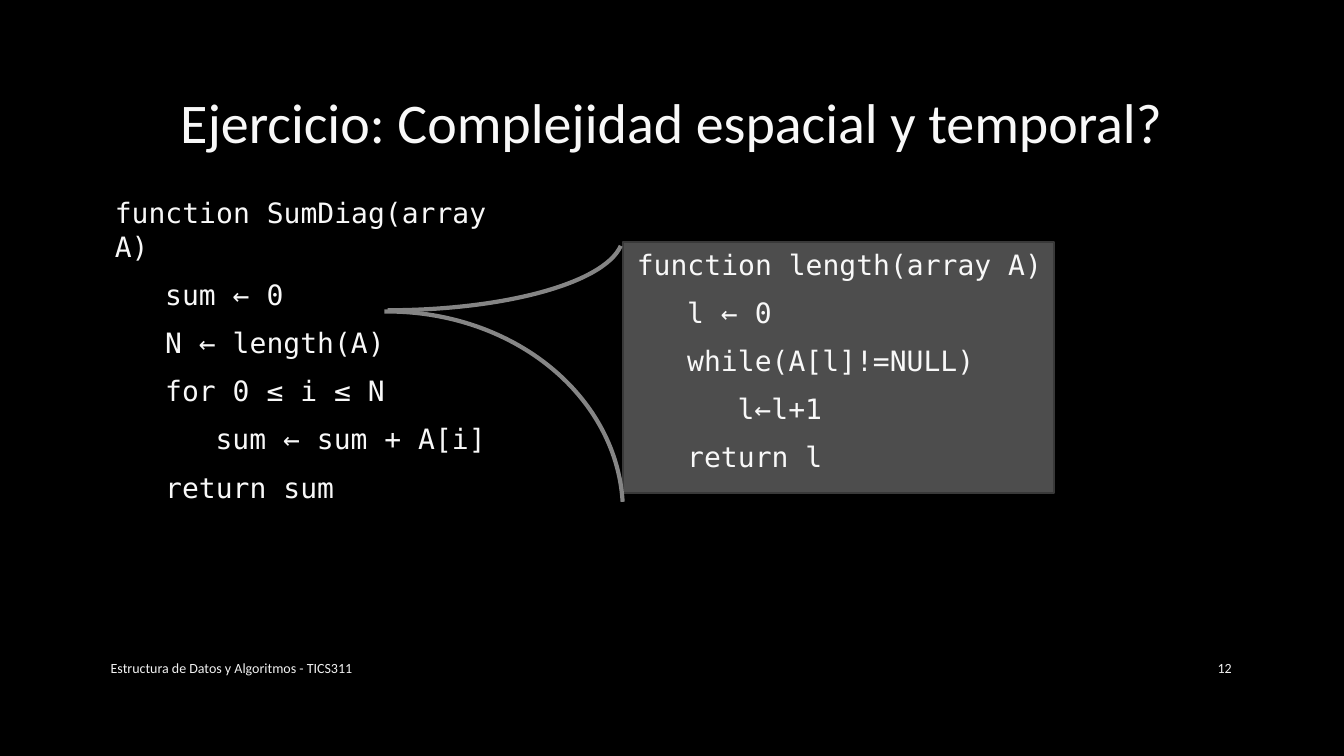
from lxml.etree import SubElement
from pptx import Presentation
from pptx.dml.color import RGBColor
from pptx.enum.shapes import MSO_SHAPE
from pptx.enum.text import MSO_ANCHOR, MSO_AUTO_SIZE, PP_ALIGN
from pptx.oxml.ns import qn
from pptx.util import Cm, Pt

COLORS = {
    "background": "000000",
    "text": "F8F8F8",
    "footer": "F2F2F2",
    "panel": "4D4D4D",
    "panel_line": "393939",
    "arc": "858585",
}

# Each code line is an indent level and its text
SUM_DIAGONAL = [
    (0, "function SumDiag(array A)"),
    (1, "sum ← 0"),
    (1, "N ← length(A)"),
    (1, "for 0 ≤ i ≤ N"),
    (2, "sum ← sum + A[i]"),
    (1, "return sum"),
]
LENGTH = [
    (0, "function length(array A)"),
    (1, "l ← 0"),
    (1, "while(A[l]!=NULL)"),
    (2, "l←l+1"),
    (1, "return l"),
]


def color(name):
    return RGBColor.from_string(COLORS[name])


def set_attributes(target, values):
    for name, value in values.items():
        setattr(target, name, value)


class CodeSlide:
    text_font = "Calibri"
    code_font = "DejaVu Sans Mono"
    code_format = {"alignment": PP_ALIGN.LEFT, "space_before": Pt(4.4),
                   "space_after": Pt(6), "line_spacing": 1.0}
    base_indent = Cm(0.1)
    level_indent = Cm(1.27)

    def __init__(self, presentation):
        self.slide = presentation.slides.add_slide(presentation.slide_layouts[1])
        fill = self.slide.background.fill
        fill.solid()
        fill.fore_color.rgb = color("background")

    def place(self, shape, box):
        names = ("left", "top", "width", "height")
        set_attributes(shape, dict(zip(names, map(Cm, box))))

    def frame(self, shape, anchor):
        set_attributes(shape.text_frame, {
            "word_wrap": True, "auto_size": MSO_AUTO_SIZE.NONE,
            "vertical_anchor": anchor})
        return shape.text_frame

    def add_text(self, paragraph, text, font, size, color_name):
        run = paragraph.add_run()
        run.text = text
        set_attributes(run.font, {"name": font, "size": Pt(size)})
        run.font.color.rgb = color(color_name)

    def label(self, shape, text, size, alignment, color_name):
        paragraph = self.frame(shape, MSO_ANCHOR.MIDDLE).paragraphs[0]
        paragraph.alignment = alignment
        self.add_text(paragraph, text, self.text_font, size, color_name)

    def title(self, box, text):
        shape = self.slide.shapes.title
        self.place(shape, box)
        self.label(shape, text, 40, PP_ALIGN.CENTER, "text")

    def footer(self, box, text, alignment):
        shape = self.slide.shapes.add_textbox(*map(Cm, box))
        self.label(shape, text, 10, alignment, "footer")

    def code(self, shape, lines):
        frame = self.frame(shape, MSO_ANCHOR.TOP)
        for number, (level, text) in enumerate(lines):
            paragraph = frame.add_paragraph() if number else frame.paragraphs[0]
            set_attributes(paragraph, self.code_format)
            properties = paragraph._p.get_or_add_pPr()
            properties.set("marL", str(self.base_indent + level * self.level_indent))
            properties.set("indent", "0")
            SubElement(properties, qn("a:buNone"))
            self.add_text(paragraph, text, self.code_font, 20, "text")

    def body_code(self, box, lines):
        shape = self.slide.placeholders[1]
        self.place(shape, box)
        self.code(shape, lines)

    def outlined(self, kind, box, line_color, line_width):
        shape = self.slide.shapes.add_shape(kind, *map(Cm, box))
        shape.shadow.inherit = False
        shape.line.color.rgb = color(line_color)
        shape.line.width = Pt(line_width)
        return shape

    def code_panel(self, box, lines):
        shape = self.outlined(MSO_SHAPE.RECTANGLE, box, "panel_line", 1.25)
        shape.fill.solid()
        shape.fill.fore_color.rgb = color("panel")
        self.code(shape, lines)

    def arc(self, box, start, end, flipped=False):
        """Draw an open arc; start and end are in units of 5/3 degrees."""
        shape = self.outlined(MSO_SHAPE.ARC, box, "arc", 3)
        shape.fill.background()
        shape.adjustments[0] = start
        shape.adjustments[1] = end
        if flipped:
            shape.element.spPr.find(qn("a:xfrm")).set("flipV", "1")


def main():
    presentation = Presentation()
    set_attributes(presentation, {"slide_width": Cm(33.87), "slide_height": Cm(19.05)})
    slide = CodeSlide(presentation)
    slide.title((2.54, 1.7, 28.75, 2.69), "Ejercicio: Complejidad espacial y temporal?")
    slide.body_code((2.54, 4.8, 10.87, 7.62), SUM_DIAGONAL)
    slide.footer((2.54, 16.33, 18.54, 1.02),
                 "Estructura de Datos y Algoritmos - TICS311", PP_ALIGN.LEFT)
    slide.footer((29.21, 16.33, 2.08, 1.02), "12", PP_ALIGN.RIGHT)
    slide.code_panel((15.7, 6.1, 10.87, 6.32), LENGTH)
    slide.arc((3.84, 4.06, 11.86, 3.76), 161.97, 214.5, flipped=True)
    slide.arc((3.84, 7.85, 11.86, 10.11), 161.44, 214.5)
    presentation.save("out.pptx")


if __name__ == "__main__":
    main()
